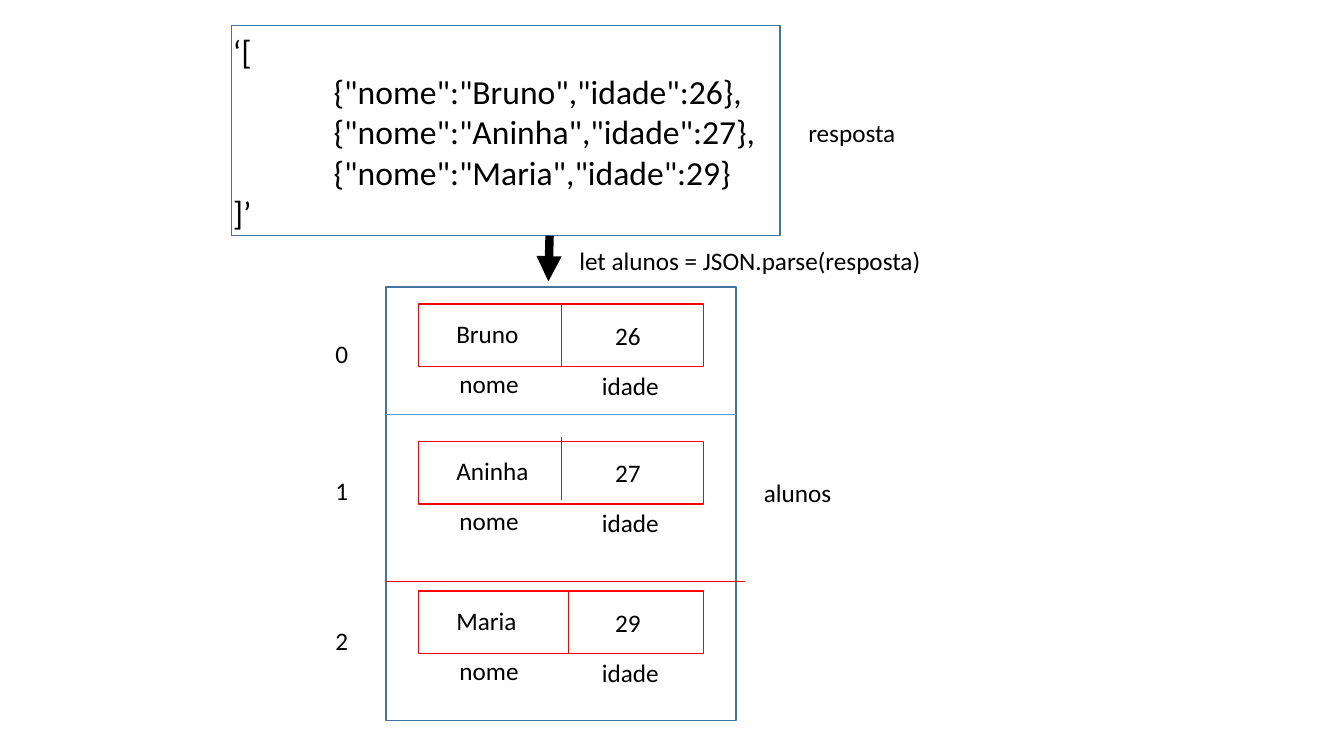
from dataclasses import dataclass

from lxml.etree import SubElement
from pptx import Presentation
from pptx.dml.color import RGBColor
from pptx.enum.shapes import MSO_CONNECTOR, MSO_SHAPE
from pptx.enum.text import MSO_AUTO_SIZE
from pptx.oxml.ns import qn
from pptx.shapes.connector import Connector
from pptx.slide import Slide
from pptx.text.text import TextFrame
from pptx.util import Cm, Pt

BLACK = RGBColor(0x00, 0x00, 0x00)
RED = RGBColor(0xFF, 0x00, 0x00)
DARK_BLUE = RGBColor(0x43, 0x73, 0x9E)
LIGHT_BLUE = RGBColor(0x5B, 0x9B, 0xD5)

ARRAY_LEFT, ARRAY_TOP, ARRAY_WIDTH, ARRAY_HEIGHT = 9.73, 7.23, 8.82, 10.92
RECORD_LEFT, RECORD_WIDTH, RECORD_HEIGHT = 10.54, 7.19, 1.58
LABEL_HEIGHT = 1.02


@dataclass(frozen=True)
class Student:
    nome: str
    idade: int
    top: float
    split_left: float
    split_top: float
    nome_width: float


@dataclass(frozen=True)
class Label:
    text: str
    left: float
    top: float
    width: float


STUDENTS = [
    Student("Bruno", 26, 7.66, 14.15, 7.66, 2.12),
    Student("Aninha", 27, 11.12, 14.15, 11.02, 2.4),
    Student("Maria", 29, 14.89, 14.33, 14.89, 2.08),
]

CAPTIONS = [
    Label("alunos", 19.0, 11.9, 2.24),
    Label("resposta", 20.12, 2.82, 2.72),
    Label("let alunos = JSON.parse(resposta)", 14.35, 6.05, 9.32),
]


def add_text(slide: Slide, label: Label, height: float = LABEL_HEIGHT,
             size: int = 18, wrap: bool = False) -> TextFrame:
    frame = slide.shapes.add_textbox(
        Cm(label.left), Cm(label.top), Cm(label.width), Cm(height)).text_frame
    frame.text = label.text
    frame_format = {"word_wrap": wrap, "auto_size": MSO_AUTO_SIZE.SHAPE_TO_FIT_TEXT}
    for attribute, value in frame_format.items():
        setattr(frame, attribute, value)
    font_format = {"name": "Calibri", "size": Pt(size)}
    for paragraph in frame.paragraphs:
        for run in paragraph.runs:
            for attribute, value in font_format.items():
                setattr(run.font, attribute, value)
            run.font.color.rgb = BLACK
    return frame


def add_outline(slide: Slide, left: float, top: float, width: float,
                height: float, color: RGBColor) -> None:
    outline = slide.shapes.add_shape(
        MSO_SHAPE.RECTANGLE, Cm(left), Cm(top), Cm(width), Cm(height))
    outline.shadow.inherit = False
    outline.fill.background()
    outline.line.color.rgb = color
    outline.line.width = Pt(1)


def add_line(slide: Slide, start: tuple[float, float], end: tuple[float, float],
             color: RGBColor, width: float = 0.5) -> Connector:
    line = slide.shapes.add_connector(
        MSO_CONNECTOR.STRAIGHT, Cm(start[0]), Cm(start[1]), Cm(end[0]), Cm(end[1]))
    line.line.color.rgb = color
    line.line.width = Pt(width)
    SubElement(line._element.spPr, qn("a:effectLst"))
    return line


def add_response(slide: Slide) -> None:
    records = [f'{{"nome":"{student.nome}","idade":{student.idade}}}'
               for student in STUDENTS]
    json_text = "\n".join(["‘[", ",\n".join(records), "]’"])
    frame = add_text(slide, Label(json_text, 5.62, 0.65, 19.25), 5.38, 24, True)
    for record in frame.paragraphs[1:-1]:
        record._p.get_or_add_pPr().set("marL", str(Cm(2.54)))
    add_outline(slide, 5.84, 0.65, 13.82, 5.29, DARK_BLUE)


def add_array(slide: Slide) -> None:
    add_outline(slide, ARRAY_LEFT, ARRAY_TOP, ARRAY_WIDTH, ARRAY_HEIGHT, DARK_BLUE)
    right = ARRAY_LEFT + ARRAY_WIDTH
    add_line(slide, (ARRAY_LEFT, 10.44), (right, 10.44), LIGHT_BLUE)
    add_line(slide, (ARRAY_LEFT, 14.66), (right + 0.22, 14.66), RED)


def add_student(slide: Slide, index: int, student: Student) -> None:
    top = student.top
    add_outline(slide, RECORD_LEFT, top, RECORD_WIDTH, RECORD_HEIGHT, RED)
    add_line(slide, (student.split_left, student.split_top),
             (student.split_left, student.split_top + RECORD_HEIGHT), RED)
    for label in (
        Label("nome", 11.33, top + 1.49, 2.04),
        Label("idade", 14.92, top + 1.55, 1.96),
        Label(student.nome, 11.25, top + 0.23, student.nome_width),
        Label(str(student.idade), 15.25, top + 0.28, 1.17),
        Label(str(index), 8.2, top + 0.74, 0.84),
    ):
        add_text(slide, label)


def main() -> None:
    presentation = Presentation()
    presentation.slide_width = Cm(33.87)
    presentation.slide_height = Cm(19.05)
    slide = presentation.slides.add_slide(presentation.slide_layouts[6])

    add_response(slide)
    add_array(slide)
    for index, student in enumerate(STUDENTS):
        add_student(slide, index, student)
    for caption in CAPTIONS:
        add_text(slide, caption)

    conversion = add_line(slide, (13.85, 5.94), (13.82, 7.09), BLACK, 6)
    SubElement(conversion.line._get_or_add_ln(), qn("a:tailEnd"), type="triangle")

    presentation.save("out.pptx")


if __name__ == "__main__":
    main()
